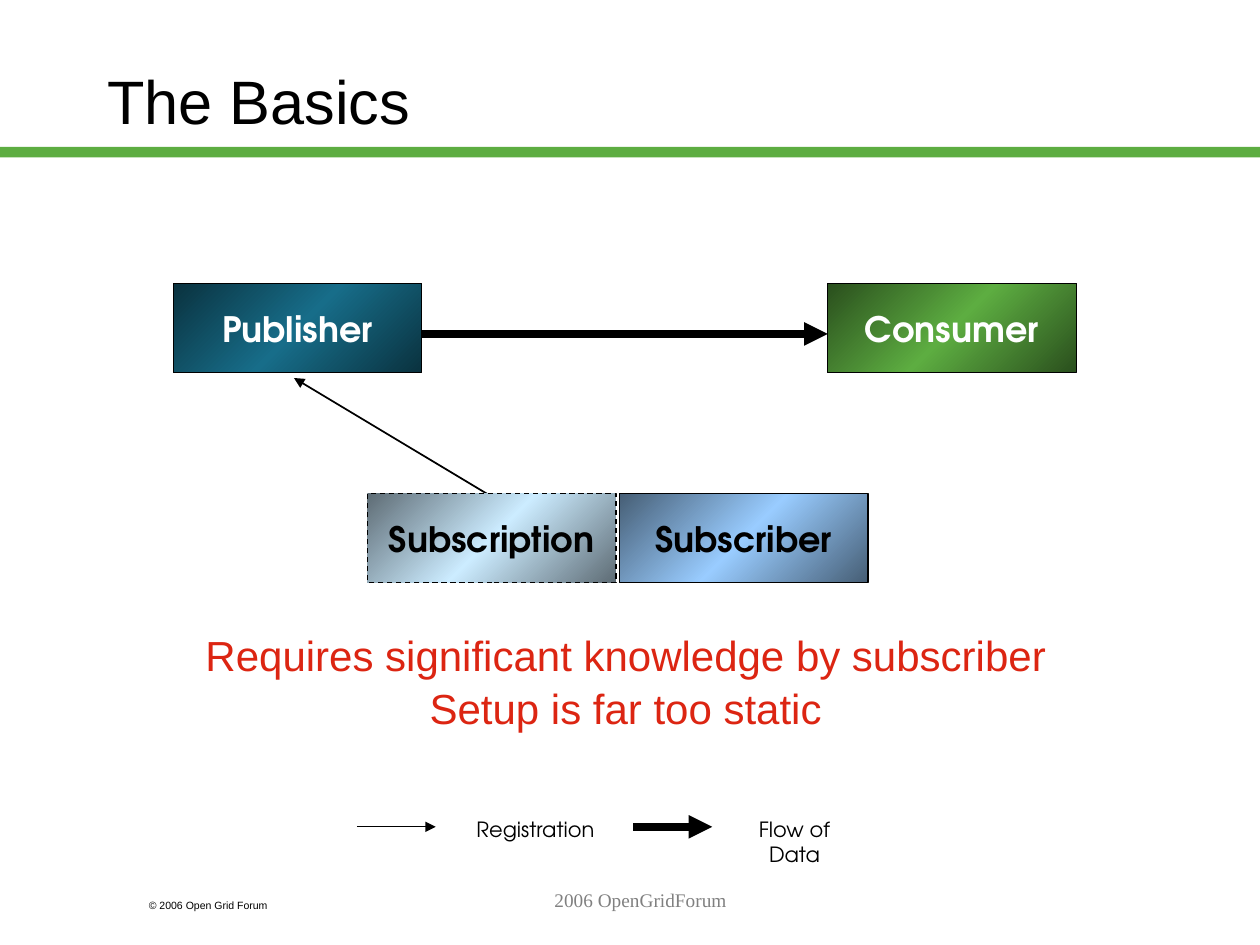
from copy import deepcopy
from dataclasses import dataclass

from lxml import etree
from pptx import Presentation
from pptx.dml.color import RGBColor
from pptx.enum.dml import MSO_LINE
from pptx.enum.shapes import MSO_CONNECTOR, MSO_SHAPE
from pptx.enum.text import MSO_ANCHOR, MSO_AUTO_SIZE, PP_ALIGN
from pptx.oxml.ns import qn
from pptx.util import Pt

RECT = MSO_SHAPE.RECTANGLE
STRAIGHT = MSO_CONNECTOR.STRAIGHT
DASH = MSO_LINE.DASH
MIDDLE = MSO_ANCHOR.MIDDLE
NO_FIT = MSO_AUTO_SIZE.NONE
LEFT, CENTER = PP_ALIGN.LEFT, PP_ALIGN.CENTER

SANS, GEOMETRIC, SERIF = "Arial", "TeX Gyre Adventor", "Times New Roman"
BLACK, WHITE, GREEN, RED, GREY = "000000", "FFFFFF", "5DAD41", "DC2512", "808080"
BOX_W, BOX_H = 142, 51
TOP_ROW, BOTTOM_ROW = 162, 282
FLOW_Y, LEGEND_Y = 190.8, 472.5


@dataclass
class Box:
    text: str
    x: float
    y: float
    edge: str
    middle: str
    color: str
    dashed: bool = False


@dataclass
class Arrow:
    x1: float
    y1: float
    x2: float
    y2: float
    width: float


@dataclass
class Label:
    text: str
    x: float
    y: float
    w: float
    h: float
    size: float
    font: str
    color: str = BLACK
    align: PP_ALIGN = CENTER
    wrap: bool = True
    spacing: float = 1.0


ARROWS = [
    Arrow(241, FLOW_Y, 473, FLOW_Y, 4.5),
    Arrow(288, 288, 168, 216, 1),
    Arrow(204, LEGEND_Y, 249, LEGEND_Y, 0.75),
    Arrow(362, LEGEND_Y, 407, LEGEND_Y, 4.5),
]
BOXES = [
    Box("Publisher", 99, TOP_ROW, "0A323F", "176D89", WHITE),
    Box("Consumer", 473, TOP_ROW, "2A4F1D", GREEN, WHITE),
    Box("Subscriber", 354, BOTTOM_ROW, "465E75", "99CCFF", BLACK),
    Box("Subscription", 210, BOTTOM_ROW, "5E6C75", "CCECFF", BLACK, True),
]
LABELS = [
    Label("Registration", 264, 463, 84, 21.6, 12, GEOMETRIC),
    Label("Flow of Data", 412, 463, 84, 21.6, 12, GEOMETRIC),
    Label("Requires significant knowledge by subscriber\nSetup is far too static",
          110, 355, 495, 65, 24, SANS, RED, wrap=False, spacing=1.05),
    Label("© 2006 Open Grid Forum", 78, 510, 108, 14.4, 6, SANS, align=LEFT),
    Label("2006 OpenGridForum", 156, 504, 420, 36, 11, SERIF, GREY),
]


def rgb(value: str) -> RGBColor:
    return RGBColor.from_string(value)


def format_text(tf, size: float, font: str, color: str, align: PP_ALIGN,
                bold: bool = False, spacing: float = 1.0) -> None:
    for p in tf.paragraphs:
        p.alignment = align
        p.line_spacing = spacing
        for r in p.runs:
            r.font.size = Pt(size)
            r.font.name = font
            r.font.bold = bold
            r.font.color.rgb = rgb(color)


def add_rule(s) -> None:
    sp = s.shapes.add_shape(RECT, 0, Pt(84), Pt(720), Pt(6))
    sp.shadow.inherit = False
    sp.fill.solid()
    sp.fill.fore_color.rgb = rgb(GREEN)
    sp.line.fill.background()


def set_title(s, text: str) -> None:
    sp = s.shapes.title
    sp.left, sp.top, sp.width, sp.height = Pt(54), Pt(12), Pt(612), Pt(90)
    tf = sp.text_frame
    tf.text = text
    tf.auto_size = NO_FIT
    tf.vertical_anchor = MIDDLE
    format_text(tf, 35, SANS, BLACK, LEFT)


def fill_band(fill, edge: str, middle: str) -> None:
    """Diagonal gradient with the middle colour between two equal edges."""
    fill.gradient()
    fill.gradient_angle = 135
    first = fill.gradient_stops[0]._gs
    first.addnext(deepcopy(first))
    for stop, color, position in zip(fill.gradient_stops,
                                     (edge, middle, edge), (0, 0.5, 1)):
        stop.color.rgb = rgb(color)
        stop.position = position


def add_box(s, box: Box) -> None:
    sp = s.shapes.add_shape(RECT, Pt(box.x), Pt(box.y), Pt(BOX_W), Pt(BOX_H))
    sp.shadow.inherit = False
    fill_band(sp.fill, box.edge, box.middle)
    sp.line.color.rgb = rgb(BLACK)
    sp.line.width = Pt(0.75)
    if box.dashed:
        sp.line.dash_style = DASH
    tf = sp.text_frame
    tf.text = box.text
    tf.word_wrap = False
    tf.vertical_anchor = MIDDLE
    format_text(tf, 20, GEOMETRIC, box.color, CENTER, bold=True)


def add_arrow(s, arrow: Arrow) -> None:
    cxn = s.shapes.add_connector(STRAIGHT, Pt(arrow.x1), Pt(arrow.y1),
                                 Pt(arrow.x2), Pt(arrow.y2))
    cxn.line.color.rgb = rgb(BLACK)
    cxn.line.width = Pt(arrow.width)
    ln = cxn.line._get_or_add_ln()
    etree.SubElement(ln, qn("a:tailEnd"), type="triangle")
    etree.SubElement(ln.getparent(), qn("a:effectLst"))


def add_label(s, label: Label) -> None:
    sp = s.shapes.add_textbox(Pt(label.x), Pt(label.y), Pt(label.w), Pt(label.h))
    tf = sp.text_frame
    tf.text = label.text
    tf.word_wrap = label.wrap
    format_text(tf, label.size, label.font, label.color, label.align,
                spacing=label.spacing)


def main() -> None:
    prs = Presentation()
    prs.slide_width, prs.slide_height = Pt(720), Pt(540)
    s = prs.slides.add_slide(prs.slide_layouts[5])
    add_rule(s)
    set_title(s, "The Basics")
    for arrow in ARROWS:
        add_arrow(s, arrow)
    for box in BOXES:
        add_box(s, box)
    for label in LABELS:
        add_label(s, label)
    prs.save("out.pptx")


if __name__ == "__main__":
    main()
